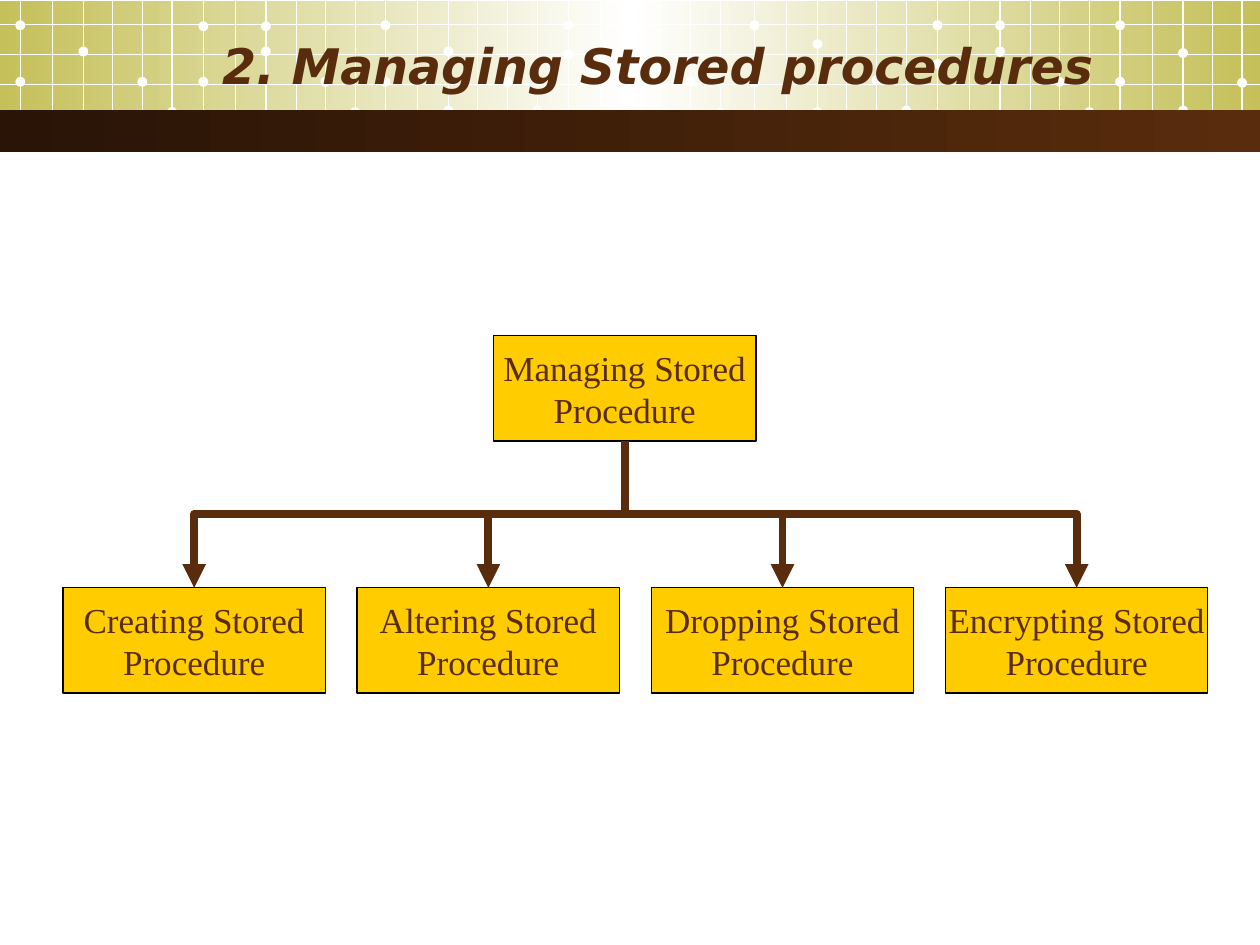
"""Build a slide showing the tasks of managing stored procedures as a tree."""
from copy import deepcopy

from lxml import etree
from pptx import Presentation
from pptx import util as u
from pptx.dml import color
from pptx.enum import shapes, text
from pptx.oxml import ns

TITLE = "2. Managing Stored procedures"
ROOT = ["Managing Stored", "Procedure"]
TASKS = ["Creating Stored", "Altering Stored", "Dropping Stored", "Encrypting Stored"]

COLORS = {"olive": "C5C059", "white": "FFFFFF", "dark": "291406",
          "brown": "592C0D", "gold": "FFCC00", "black": "000000"}

WIDTH, HEIGHT = 25.4, 19.05
BOX_W, BOX_H = 5.29, 2.12
ROOT_X, ROOT_Y = 9.95, 6.77
TASK_X, TASK_Y, PITCH = 1.27, 11.85, 5.93
DOT = 0.2
GRID_BOTTOM = 2.79

ROWS = [0.5, 1.1, 1.7, 2.27]
COLUMNS = [0, 0.65, 1.27, 1.86, 2.46, 3.06, 3.69, 4.34, 4.95, 5.56, 6.15, 6.75]
DOT_COLUMNS = [0, 0, 2, 2, 4, 5, 6, 6, 8, 8, 10, 11]
DOT_TOPS = {
    0.41: [1.55, 0.41, 0.94, 2.21, 1.55, 2.16, 1.55, 0.43, 0.94, 0.43, 1.55, 2.16],
    7.77: [1.55, 0.41, 0.94, 2.13, 1.55, 2.13, 0.99, 0.41, 0.97, 0.41, 1.55, 2.16],
    15.21: [1.57, 0.41, 0.79, 2.16, 1.52, 2.13, 1.19, 0.41, 0.94, 0.41, 1.55, 2.16],
    22.58: [1.55, 0.41, 0.97, 2.13, 1.57],
}


def rgb(name):
    return color.RGBColor.from_string(COLORS[name])


def cm(*values):
    return [u.Cm(v) for v in values]


def write(tf, lines, size=20, font="Times New Roman", bold=False, italic=False,
          align=text.PP_ALIGN.CENTER, wrap=False):
    tf.word_wrap = wrap
    tf.vertical_anchor = text.MSO_ANCHOR.MIDDLE
    for i, line in enumerate(lines):
        p = tf.paragraphs[0] if i == 0 else tf.add_paragraph()
        p.alignment = align
        r = p.add_run()
        r.text = line
        r.font.name, r.font.size = font, u.Pt(size)
        r.font.bold, r.font.italic = bold, italic
        r.font.color.rgb = rgb("brown")


def add_shape(s, kind, box, fills, line=None):
    sp = s.shapes.add_shape(kind, *cm(*box))
    sp.shadow.inherit = False
    if len(fills) == 1:
        sp.fill.solid()
        sp.fill.fore_color.rgb = rgb(fills[0])
    else:
        sp.fill.gradient()
        sp.fill.gradient_angle = 0
        stops = sp._element.spPr.find(".//" + ns.qn("a:gsLst"))
        while len(stops) < len(fills):
            stops.append(deepcopy(stops[0]))
        for i, (stop, name) in enumerate(zip(sp.fill.gradient_stops, fills)):
            stop.color.rgb = rgb(name)
            stop.position = i / (len(fills) - 1)
    if line:
        sp.line.color.rgb = rgb(line)
        sp.line.width = u.Pt(0.75)
    else:
        sp.line.fill.background()
    return sp


def add_line(s, kind, ends, name, width):
    cx = s.shapes.add_connector(kind, *cm(*ends))
    cx.line.color.rgb = rgb(name)
    cx.line.width = u.Pt(width)
    etree.SubElement(cx._element.spPr, ns.qn("a:effectLst"))
    return cx


def add_box(s, x, y, lines):
    sp = add_shape(s, shapes.MSO_SHAPE.RECTANGLE, (x, y, BOX_W, BOX_H), ["gold"], "black")
    write(sp.text_frame, lines)
    return sp


def add_branch(s, root, task):
    cx = add_line(s, shapes.MSO_CONNECTOR.ELBOW, (0, 0, 0, 0), "brown", 4.5)
    cx.begin_connect(root, 2)
    cx.end_connect(task, 0)
    x1, y1 = root.left + root.width // 2, root.top + root.height
    x2, y2 = task.left + task.width // 2, task.top
    cx.width, cx.height = y2 - y1, abs(x2 - x1)
    cx.left = (x1 + x2 - cx.width) // 2
    cx.top = (y1 + y2 - cx.height) // 2
    right = x2 > x1
    xfrm = cx._element.spPr.find(ns.qn("a:xfrm"))
    xfrm.set("rot", str((270 if right else 90) * 60000))
    xfrm.set("flipH", "1" if right else "0")
    etree.SubElement(cx.line._get_or_add_ln(), ns.qn("a:tailEnd"), type="triangle")


def add_banner(s):
    rect, straight = shapes.MSO_SHAPE.RECTANGLE, shapes.MSO_CONNECTOR.STRAIGHT
    add_shape(s, rect, (0, 0.02, WIDTH, 2.6), ["olive", "white", "olive"])
    for start, tops in DOT_TOPS.items():
        for x in (start + c for c in COLUMNS):
            if x < WIDTH:
                add_line(s, straight, (x, 0, x, GRID_BOTTOM), "white", 0.75)
        for column, top in zip(DOT_COLUMNS, tops):
            left = start + COLUMNS[column] - DOT / 2
            add_shape(s, shapes.MSO_SHAPE.OVAL, (left, top, DOT, DOT), ["white"])
    for y in ROWS:
        add_line(s, straight, (0, y, WIDTH, y), "white", 0.75)
    add_shape(s, rect, (0, 2.22, WIDTH, 0.84), ["dark", "brown"])


def main():
    prs = Presentation()
    prs.slide_width, prs.slide_height = cm(WIDTH, HEIGHT)
    s = prs.slides.add_slide(prs.slide_layouts[6])
    add_banner(s)
    title = s.shapes.add_textbox(*cm(0.69, -0.28, 21.59, 3.18))
    write(title.text_frame, [TITLE], size=28, font="DejaVu Sans", bold=True,
          italic=True, align=text.PP_ALIGN.RIGHT, wrap=True)
    root = add_box(s, ROOT_X, ROOT_Y, ROOT)
    tasks = [add_box(s, TASK_X + i * PITCH, TASK_Y, [name, "Procedure"])
             for i, name in enumerate(TASKS)]
    for task in tasks:
        add_branch(s, root, task)
    prs.save("out.pptx")


if __name__ == "__main__":
    main()
